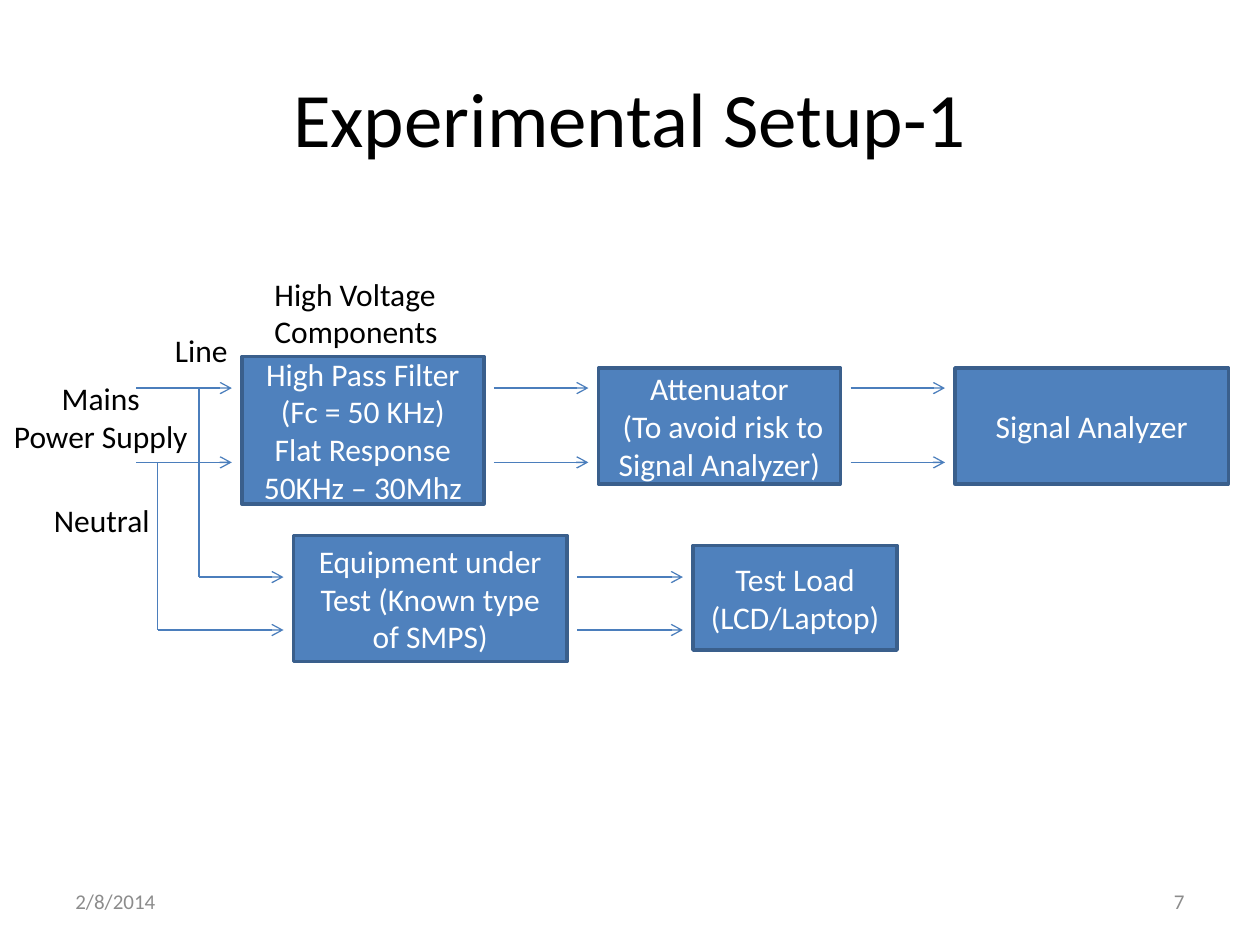
"""Build the Experimental Setup-1 block diagram slide."""
from pptx import Presentation
from pptx.dml.color import RGBColor
from pptx.enum.shapes import MSO_CONNECTOR, MSO_SHAPE
from pptx.enum.text import MSO_ANCHOR, PP_ALIGN
from pptx.oxml.ns import qn
from pptx.util import Inches, Pt
from lxml.etree import SubElement

COLORS = {"fill": "4F81BD", "border": "3A5F8C", "wire": "4B7EBC",
          "black": "000000", "white": "FFFFFF", "grey": "8C8C8C"}
LEFT, CENTER, RIGHT = PP_ALIGN.LEFT, PP_ALIGN.CENTER, PP_ALIGN.RIGHT
GAP = 0.08
LINE_TAP, NEUTRAL_TAP = 1.58, 1.25

ROWS = [
    {"wires": (3.08, 3.67), "starts": (1.08, 1.08), "blocks": [
        (1.92, 2.83, 1.92, 1.17, ["High Pass Filter (Fc = 50 KHz)",
                                  "Flat Response 50KHz – 30Mhz"]),
        (4.75, 2.92, 1.92, 0.92, ["Attenuator",
                                  " (To avoid risk to Signal Analyzer)"]),
        (7.58, 2.92, 2.17, 0.92, ["Signal Analyzer"])]},
    {"wires": (4.58, 5), "starts": (LINE_TAP, NEUTRAL_TAP), "blocks": [
        (2.33, 4.25, 2.17, 1, ["Equipment under Test (Known type of SMPS)"]),
        (5.5, 4.33, 1.62, 0.83, ["Test Load (LCD/Laptop)"])]},
]
LABELS = [
    (0, 2.96, 1.6, 0.71, ["Mains", "Power Supply"], CENTER),
    (1.29, 2.58, 0.63, 0.4, ["Line"], LEFT),
    (0.33, 3.93, 0.97, 0.4, ["Neutral"], LEFT),
    (2.08, 2.13, 1.56, 0.71, ["High Voltage", "Components"], LEFT),
]
FOOTERS = [(0.5, "2/8/2014", LEFT), (7.17, "7", RIGHT)]


def color(name):
    return RGBColor.from_string(COLORS[name])


def write(frame, lines, size, ink, align):
    frame.text = "\n".join(lines)
    for para in frame.paragraphs:
        para.alignment = align
        para.font.name, para.font.size = "Calibri", Pt(size)
        para.font.color.rgb = color(ink)


def add_label(page, left, top, width, height, lines, align,
              size=18, ink="black", wrap=False, anchor=MSO_ANCHOR.TOP):
    box = page.shapes.add_textbox(*map(Inches, (left, top, width, height)))
    box.text_frame.word_wrap = wrap
    box.text_frame.vertical_anchor = anchor
    write(box.text_frame, lines, size, ink, align)


def add_block(page, left, top, width, height, lines):
    box = page.shapes.add_shape(MSO_SHAPE.RECTANGLE,
                                *map(Inches, (left, top, width, height)))
    box.shadow.inherit = False
    box.fill.solid()
    box.fill.fore_color.rgb = color("fill")
    box.line.color.rgb, box.line.width = color("border"), Pt(2)
    box.text_frame.word_wrap = True
    box.text_frame.vertical_anchor = MSO_ANCHOR.MIDDLE
    write(box.text_frame, lines, 18, "white", CENTER)


def add_wire(page, x1, y1, x2, y2, arrow=True):
    wire = page.shapes.add_connector(MSO_CONNECTOR.STRAIGHT,
                                     *map(Inches, (x1, y1, x2, y2)))
    wire.line.color.rgb, wire.line.width = color("wire"), Pt(0.75)
    if arrow:
        SubElement(wire.line._get_or_add_ln(), qn("a:tailEnd"), type="arrow")
    SubElement(wire._element.spPr, qn("a:effectLst"))


deck = Presentation()
deck.slide_width, deck.slide_height = Inches(10), Inches(7.5)
page = deck.slides.add_slide(deck.slide_layouts[5])

title = page.shapes.title
title.left, title.top, title.width, title.height = map(Inches, (0.5, 0.3, 9, 1.25))
title.text_frame.vertical_anchor = MSO_ANCHOR.MIDDLE
write(title.text_frame, ["Experimental Setup-1"], 44, "black", CENTER)

for row in ROWS:
    starts = row["starts"]
    for left, top, width, height, lines in row["blocks"]:
        for start, y in zip(starts, row["wires"]):
            add_wire(page, start, y, left - GAP, y)
        add_block(page, left, top, width, height, lines)
        starts = (left + width + GAP,) * 2

for x, y1, y2 in zip((LINE_TAP, NEUTRAL_TAP), ROWS[0]["wires"], ROWS[1]["wires"]):
    add_wire(page, x, y1, x, y2, arrow=False)

for label in LABELS:
    add_label(page, *label)
for left, text, align in FOOTERS:
    add_label(page, left, 6.95, 2.33, 0.4, [text], align, size=12, ink="grey",
              wrap=True, anchor=MSO_ANCHOR.MIDDLE)

deck.save("out.pptx")
